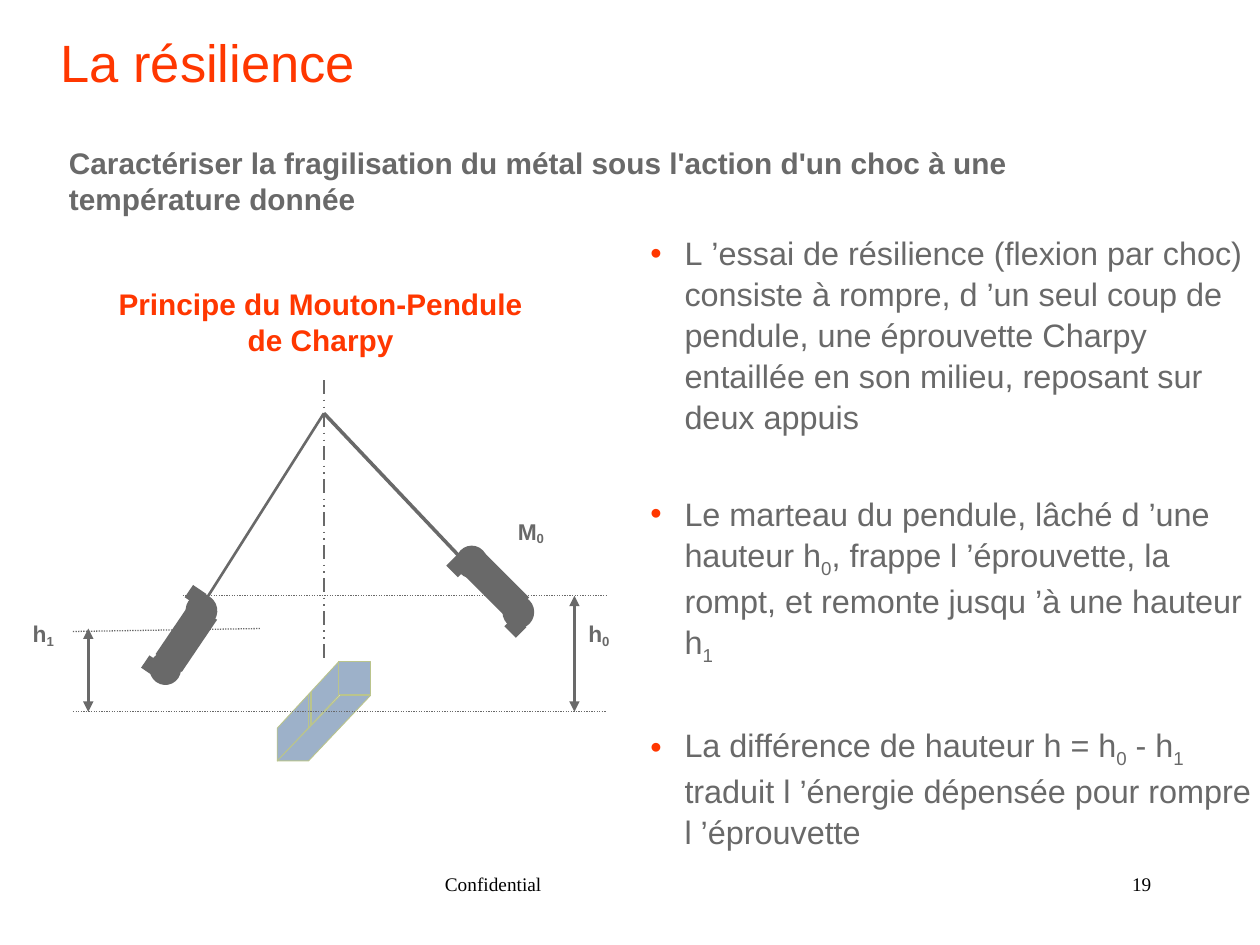
"""Build the slide on resilience and the Charpy pendulum test."""
from lxml.etree import SubElement
from pptx import Presentation
from pptx.dml.color import RGBColor
from pptx.enum.dml import MSO_LINE as DASH
from pptx.enum.shapes import MSO_CONNECTOR as LINK, MSO_SHAPE as SHAPE
from pptx.enum.text import MSO_ANCHOR as ANCHOR, PP_ALIGN as ALIGN
from pptx.oxml.ns import qn
from pptx.util import Cm, Pt

ORANGE = RGBColor(0xFF, 0x37, 0x00)
GREY = RGBColor(0x69, 0x69, 0x69)
BLUE = RGBColor(0x9D, 0xB1, 0xC9)
OLIVE = RGBColor(0xBA, 0xC4, 0x8C)
BLACK = RGBColor(0x00, 0x00, 0x00)

prs = Presentation()
prs.slide_width, prs.slide_height = Cm(25.4), Cm(19.05)
slide = prs.slides.add_slide(prs.slide_layouts[6])
shapes = slide.shapes


def write(box, lines, size, color, bold=False, font="Arial", align=ALIGN.LEFT,
          padded=True, wrap=True, subscript=-25, bullet=False):
    """Fill a new text box; the parts of a line between bars are subscripts."""
    frame = shapes.add_textbox(*map(Cm, box)).text_frame
    frame.word_wrap = wrap
    if not padded:
        frame.margin_left = frame.margin_right = 0
        frame.margin_top = frame.margin_bottom = 0
    for number, line in enumerate(lines):
        paragraph = frame.add_paragraph() if number else frame.paragraphs[0]
        paragraph.alignment = align
        if bullet:
            paragraph.line_spacing = 1.05
            paragraph.space_before = Pt(32.3 if number else 0)
            props = paragraph._p.get_or_add_pPr()
            props.set("marL", str(Cm(0.69)))
            props.set("indent", str(-Cm(0.69)))
            tint = SubElement(props, qn("a:buClr"))
            SubElement(tint, qn("a:srgbClr"), val=str(ORANGE))
            SubElement(props, qn("a:buFont"), typeface=font)
            SubElement(props, qn("a:buChar"), char="•")
        paragraph.font.name, paragraph.font.size = font, Pt(size)
        paragraph.font.bold = bold
        paragraph.font.color.rgb = color
        for part, text in enumerate(line.split("|")):
            if text:
                run = paragraph.add_run()
                run.text = text
                if part % 2:
                    run._r.get_or_add_rPr().set("baseline", str(subscript * 1000))
    return frame


def draw_line(ends, width, color=GREY, dash=None, arrows=False):
    """Draw a straight line between two points."""
    line = shapes.add_connector(LINK.STRAIGHT, *map(Cm, ends))
    line.line.color.rgb, line.line.width = color, Pt(width)
    if dash:
        line.line.dash_style = dash
    if arrows:
        for end in ("a:headEnd", "a:tailEnd"):
            SubElement(line.get_or_add_ln(), qn(end), type="triangle")
    SubElement(line._element.spPr, qn("a:effectLst"))


title = write((1.22, -0.33, 22.89, 2.21), ["La résilience"], 30, ORANGE, padded=False)
title.vertical_anchor = ANCHOR.BOTTOM

write((13.11, 4.67, 12.29, 12.7), [
    "L\u00a0’essai de résilience (flexion par choc) consiste à rompre, "
    "d\u00a0’un seul coup de pendule, une éprouvette Charpy entaillée en son "
    "milieu, reposant sur deux appuis",
    "Le marteau du pendule, lâché d\u00a0’une hauteur h|0|, frappe "
    "l\u00a0’éprouvette, la rompt, et remonte jusqu\u00a0’à une hauteur h|1|",
    "La différence de hauteur h = h|0| - h|1| traduit l\u00a0’énergie dépensée "
    "pour rompre l\u00a0’éprouvette",
], 18.5, GREY, padded=False, bullet=True)

pivot = (6.53, 8.33)
ground, start_level, end_level = 14.35, 12.01, 12.67
draw_line((*pivot, 9.37, 11.33), 2)
draw_line((*pivot, 3.99, 12.34), 1.5)
draw_line((3.68, start_level, 12.22, start_level), 0.75, dash=DASH.ROUND_DOT)
draw_line((1.47, 12.73, 5.26, end_level), 0.75, dash=DASH.ROUND_DOT)

hammer_parts = [
    (SHAPE.OVAL, 0, (9.19, 11.0, 0.64, 0.66)),
    (SHAPE.OVAL, 0, (10.13, 12.01, 0.64, 0.66)),
    (SHAPE.RECTANGLE, 315, (9.07, 11.25, 0.3, 0.33)),
    (SHAPE.RECTANGLE, 315, (10.24, 12.47, 0.3, 0.33)),
    (SHAPE.RECTANGLE, 45, (9.3, 11.48, 1.35, 0.61)),
    (SHAPE.OVAL, 79.1, (3.73, 11.99, 0.66, 0.64)),
    (SHAPE.OVAL, 79.1, (3.0, 13.16, 0.66, 0.64)),
    (SHAPE.RECTANGLE, 34.1, (3.78, 11.86, 0.33, 0.3)),
    (SHAPE.RECTANGLE, 34.1, (2.9, 13.28, 0.33, 0.3)),
    (SHAPE.RECTANGLE, 124.1, (3.12, 12.52, 1.27, 0.64)),
]
for outline, angle, box in hammer_parts:
    part = shapes.add_shape(outline, *map(Cm, box))
    part.rotation = angle
    part.shadow.inherit = False
    part.fill.solid()
    part.fill.fore_color.rgb = GREY
    part.line.fill.background()

specimen_faces = []
for corners in (
    [(5.59, 14.68), (5.59, 15.34), (6.83, 14.02), (6.83, 13.34)],
    [(7.47, 14.02), (6.22, 15.34), (5.59, 15.34), (6.86, 14.02)],
):
    first, *rest = [(Cm(x), Cm(y)) for x, y in corners]
    builder = shapes.build_freeform(*first)
    builder.add_line_segments(rest, close=True)
    specimen_faces.append(builder.convert_to_shape())
specimen_faces.append(
    shapes.add_shape(SHAPE.RECTANGLE, Cm(6.83), Cm(13.34), Cm(0.64), Cm(0.66)))
for face in specimen_faces:
    face.shadow.inherit = False
    face.fill.solid()
    face.fill.fore_color.rgb = BLUE
    face.line.color.rgb, face.line.width = OLIVE, Pt(0.5)

for x, y in ((6.22, 14.68), (6.27, 14.61)):
    draw_line((x, y, x, y - 0.66), 0.75, OLIVE)

draw_line((1.47, ground, 12.22, ground), 0.75, dash=DASH.ROUND_DOT)
for x, level in ((1.78, end_level), (11.58, start_level)):
    draw_line((x, level, x, ground), 1.75, arrows=True)
draw_line((pivot[0], 7.67, pivot[0], 13.34), 1, dash=DASH.DASH_DOT_DOT)

for label, x, y, width in (
    ("M|0|", 10.19, 10.31, 1.04),
    ("h|0|", 11.61, 12.37, 0.94),
    ("h|1|", 0.41, 12.37, 0.94),
):
    write((x, y, width, 0.84), [label], 13, GREY, bold=True, wrap=False, subscript=-16)

write((2.06, 5.64, 8.81, 1.7), ["Principe du Mouton-Pendule ", "de Charpy"],
      17, ORANGE, bold=True, align=ALIGN.CENTER, wrap=False)
write((1.14, 2.79, 20.29, 1.7),
      ["Caractériser la fragilisation du métal sous l'action d'un choc "
       "à une température donnée"], 17, GREY, bold=True)

for text, x, width, align in (
    ("Confidential", 8.97, 8.05, ALIGN.LEFT),
    ("19", 17.93, 5.28, ALIGN.RIGHT),
):
    write((x, 17.58, width, 0.76), [text], 11, BLACK, font="Times New Roman",
          align=align, padded=False)

prs.save("out.pptx")
